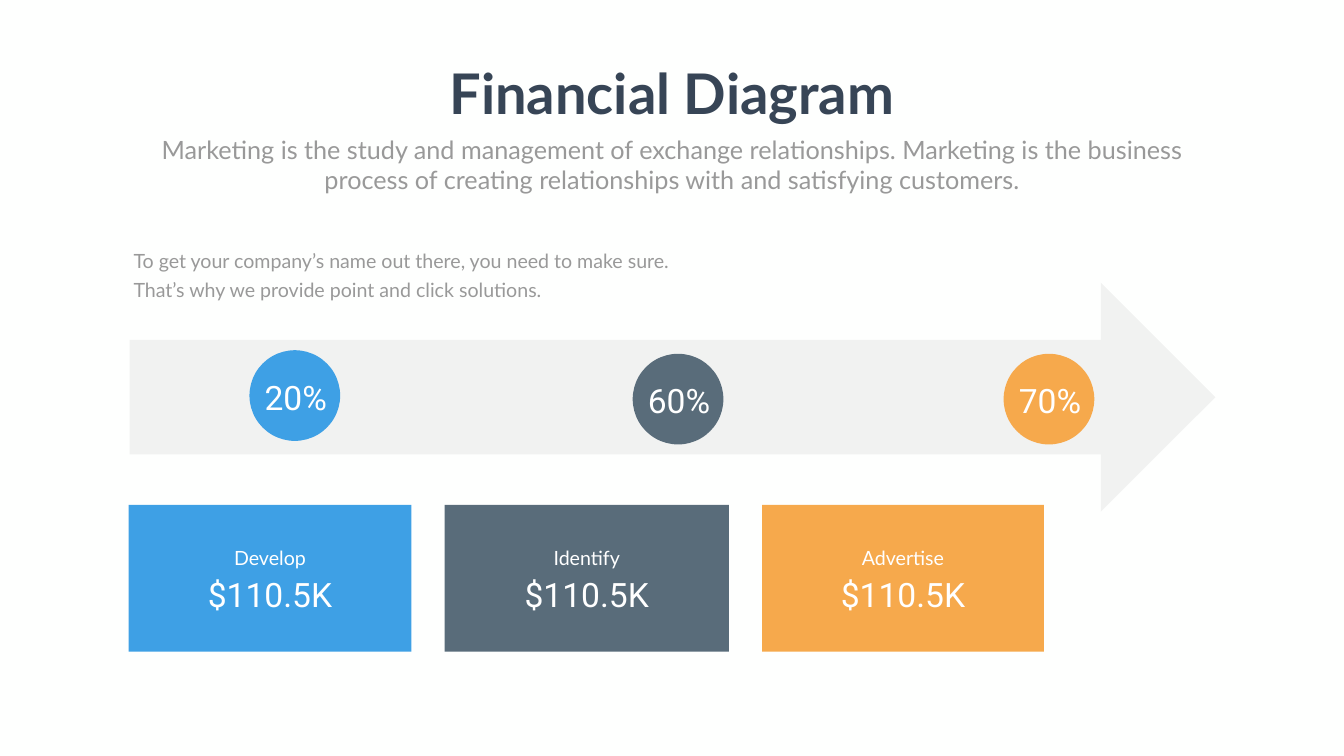
from lxml import etree
from pptx import Presentation
from pptx.dml.color import RGBColor
from pptx.enum.shapes import MSO_SHAPE
from pptx.enum.text import MSO_AUTO_SIZE, PP_ALIGN
from pptx.oxml.ns import qn
from pptx.util import Cm, Pt

ARROW, CIRCLE, RECT = MSO_SHAPE.RIGHT_ARROW, MSO_SHAPE.OVAL, MSO_SHAPE.RECTANGLE
CENTER, LEFT = PP_ALIGN.CENTER, PP_ALIGN.LEFT
GROW = MSO_AUTO_SIZE.SHAPE_TO_FIT_TEXT

BLUE, SLATE, ORANGE = "3EA0E5", "596C7A", "F6A94C"
WHITE, GRAY, NAVY = "FFFFFF", "999999", "374556"
LINE = Pt(40.8)

# Text formats
TITLE = {"name": "Lato", "size": Pt(80), "bold": True}
SUBTITLE = {"name": "Lato", "size": Pt(36)}
BODY = {"name": "Lato", "size": Pt(28)}
FIGURE = {"name": "Roboto", "size": Pt(48)}

# Stages: colour, percentage, circle left and top, label, amount, card left and width
STAGES = [
    (BLUE, "20%", 12.57, 17.65, "Develop", "$110.5K", 6.48, 14.25),
    (SLATE, "60%", 31.88, 17.83, "Identify", "$110.5K", 22.4, 14.33),
    (ORANGE, "70%", 50.57, 17.83, "Advertise", "$110.5K", 38.4, 14.2),
]


def color(value):
    return RGBColor.from_string(value)


def add_box(slide, kind, x, y, w, h, fill, alpha=None):
    s = slide.shapes.add_shape(kind, Cm(x), Cm(y), Cm(w), Cm(h))
    s.shadow.inherit = False
    s.fill.solid()
    s.fill.fore_color.rgb = color(fill)
    s.line.fill.background()
    if alpha is not None:
        clr = s.fill._xPr.find(f".//{qn('a:srgbClr')}")
        etree.SubElement(clr, qn("a:alpha")).set("val", str(alpha * 1000))


def add_text(slide, text, x, y, w, h, fmt, rgb, align=CENTER, spacing=None, wrap=True):
    tf = slide.shapes.add_textbox(Cm(x), Cm(y), Cm(w), Cm(h)).text_frame
    tf.word_wrap = wrap
    tf.auto_size = GROW
    p = tf.paragraphs[0]
    p.alignment = align
    p.line_spacing = spacing
    r = p.add_run()
    r.text = text
    r.font.color.rgb = color(rgb)
    for key, value in fmt.items():
        setattr(r.font, key, value)


def add_header(slide, x, y, w):
    title_w = 23.47
    add_text(slide, "Financial Diagram", x + (w - title_w) / 2, y, title_w, 3.68,
             TITLE, NAVY, wrap=False)
    add_text(slide, "Marketing is the study and management of exchange relationships. "
             "Marketing is the business process of creating relationships with and "
             "satisfying customers.", x, y + 3.79, w, 3.33, SUBTITLE, GRAY)


def add_badge(slide, x, y, size, fill, percent):
    add_box(slide, CIRCLE, x, y, size, size, fill)
    add_text(slide, percent, x + 0.05, y + 1.2, size, 2.31, FIGURE, WHITE)


def add_card(slide, x, y, w, h, fill, label, amount):
    add_box(slide, RECT, x, y, w, h, fill)
    label_w, amount_w = 5.28, 6.93
    add_text(slide, label, x + (w - label_w) / 2, y + 1.7, label_w, 1.57,
             BODY, WHITE, spacing=LINE)
    add_text(slide, amount, x + (w - amount_w) / 2, y + 3.35, amount_w, 2.29,
             FIGURE, WHITE)


def main():
    prs = Presentation()
    prs.slide_width, prs.slide_height = Cm(67.72), Cm(38.1)
    slide = prs.slides.add_slide(prs.slide_layouts[6])
    slide.background.fill.solid()
    slide.background.fill.fore_color.rgb = color("FEFFFE")

    # Progress arrow
    add_box(slide, ARROW, 6.53, 14.25, 54.71, 11.53, "808080", alpha=10)

    # Stages on the arrow and their cards
    for fill, percent, cx, cy, label, amount, x, w in STAGES:
        add_badge(slide, cx, cy, 4.57, fill, percent)
        add_card(slide, x, 25.45, w, 7.39, fill, label, amount)

    # Note above the arrow
    add_text(slide, "To get your company’s name out there, you need to make sure. "
             "That’s why we provide point and click solutions.",
             6.48, 12.17, 28.42, 3.02, BODY, GRAY, LEFT, LINE)

    # Title and subtitle
    add_header(slide, 7.42, 2.84, 52.88)
    prs.save("out.pptx")


if __name__ == "__main__":
    main()
